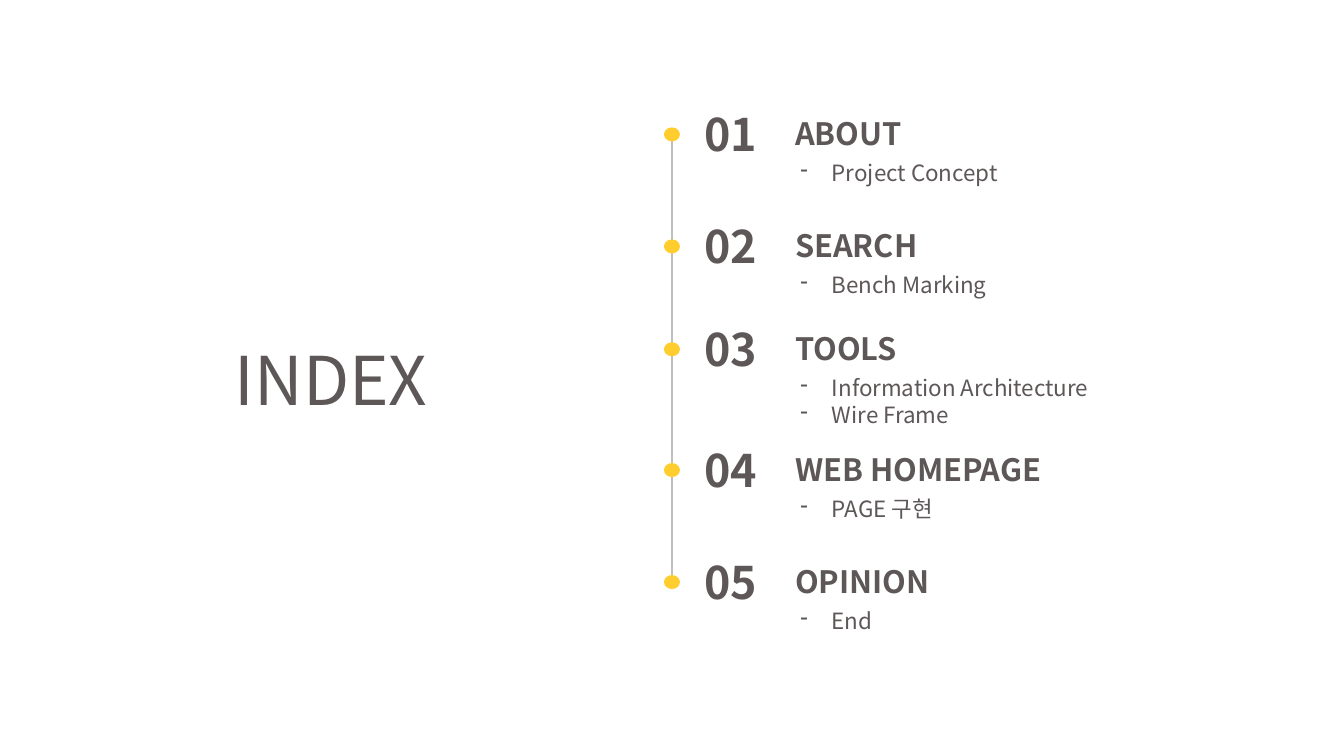
from lxml import etree
from pptx import Presentation
from pptx.dml.color import RGBColor
from pptx.enum.shapes import MSO_CONNECTOR, MSO_SHAPE
from pptx.enum.text import MSO_ANCHOR, MSO_AUTO_SIZE, PP_ALIGN
from pptx.oxml.ns import qn
from pptx.util import Pt

GREY = RGBColor(0x5D, 0x57, 0x57)
LINE_GREY = RGBColor(0xBF, 0xBF, 0xBF)
YELLOW = RGBColor(0xFF, 0xCD, 0x2D)
FONT = "Noto Sans CJK KR"
LEFT, CENTER = PP_ALIGN.LEFT, PP_ALIGN.CENTER
TOP, MIDDLE = MSO_ANCHOR.TOP, MSO_ANCHOR.MIDDLE
NO_FIT = MSO_AUTO_SIZE.NONE
STRAIGHT, OVAL = MSO_CONNECTOR.STRAIGHT, MSO_SHAPE.OVAL

AXIS_X = 480
DOT_WIDTH, DOT_HEIGHT = 11.5, 10
ITEM_LINE = 19.2
ITEM_INDENT = 22.5
LIST_OFFSET = 14.1
SECTIONS = [
    (96, "ABOUT", ["Project Concept"]),
    (176, "SEARCH", ["Bench Marking"]),
    (249.5, "TOOLS", ["Information Architecture", "Wire Frame"]),
    (335.75, "WEB HOMEPAGE", ["PAGE 구현"]),
    (415.75, "OPINION", ["End"]),
]


def write(paragraph, text, size, bold=False, align=LEFT, before=0, line=None, bullet=None):
    """Put formatted text into a paragraph."""
    paragraph.alignment = align
    paragraph.space_before = Pt(before)
    if line:
        paragraph.line_spacing = Pt(line)
    if bullet:
        properties = paragraph._p.get_or_add_pPr()
        properties.set("marL", str(Pt(ITEM_INDENT)))
        properties.set("indent", str(-Pt(ITEM_INDENT)))
        etree.SubElement(properties, qn("a:buFontTx"))
        etree.SubElement(properties, qn("a:buChar")).set("char", bullet)
    run = paragraph.add_run()
    run.text = text
    run.font.size = Pt(size)
    run.font.bold = bold
    run.font.name = FONT
    run.font.color.rgb = GREY
    east_asian = etree.SubElement(run._r.get_or_add_rPr(), qn("a:ea"))
    east_asian.set("typeface", FONT)


class IndexSlide:
    """Draws the parts of the index in one style."""

    def __init__(self, slide):
        self.slide = slide

    def frame(self, shape, x, y, width, height, anchor=TOP):
        """Place a text shape and return its text frame."""
        shape.left, shape.top, shape.width, shape.height = map(Pt, (x, y, width, height))
        frame = shape.text_frame
        frame.word_wrap = True
        frame.auto_size = NO_FIT
        frame.vertical_anchor = anchor
        return frame

    def title(self, text):
        """Fill the title placeholder."""
        frame = self.frame(self.slide.shapes.title, 132.5, 237.6, 208, 65.5, MIDDLE)
        write(frame.paragraphs[0], text, 48, align=CENTER)

    def label(self, text, x, y, width, height, size, align=LEFT):
        """Add a bold one-line text box."""
        box = self.slide.shapes.add_textbox(0, 0, 0, 0)
        frame = self.frame(box, x, y, width, height)
        write(frame.paragraphs[0], text, size, bold=True, align=align)

    def axis(self, top, bottom):
        """Add the vertical line of the timeline."""
        axis = self.slide.shapes.add_connector(
            STRAIGHT, Pt(AXIS_X), Pt(top), Pt(AXIS_X), Pt(bottom))
        axis.line.color.rgb = LINE_GREY
        axis.line.width = Pt(1)
        etree.SubElement(axis._element.spPr, qn("a:effectLst"))

    def dot(self, middle):
        """Add a timeline dot."""
        dot = self.slide.shapes.add_shape(
            OVAL, Pt(AXIS_X - DOT_WIDTH / 2), Pt(middle - DOT_HEIGHT / 2),
            Pt(DOT_WIDTH), Pt(DOT_HEIGHT))
        dot.shadow.inherit = False
        dot.fill.solid()
        dot.fill.fore_color.rgb = YELLOW
        dot.line.fill.background()

    def items(self, sections):
        """Fill the body placeholder, spacing each list to meet its heading."""
        first, last = sections[0][0], sections[-1][0]
        frame = self.frame(self.slide.placeholders[1], 564.5, first + LIST_OFFSET,
                           291.5, last - first + 26.6)
        paragraph = frame.paragraphs[0]
        reached = first
        for middle, _, entries in sections:
            for position, entry in enumerate(entries):
                if reached > first:
                    paragraph = frame.add_paragraph()
                gap = 0 if position else middle - reached
                write(paragraph, entry, 16, before=gap, line=ITEM_LINE, bullet="-")
                reached += gap + ITEM_LINE


def main():
    """Build and save the index slide."""
    deck = Presentation()
    deck.slide_width, deck.slide_height = Pt(960), Pt(540)
    index = IndexSlide(deck.slides.add_slide(deck.slide_layouts[1]))
    index.title("INDEX")
    index.axis(SECTIONS[0][0] + DOT_HEIGHT / 2, SECTIONS[-1][0] - DOT_HEIGHT / 2)
    index.items(SECTIONS)
    for number, (middle, heading, _) in enumerate(SECTIONS, 1):
        index.dot(middle)
        index.label(f"{number:02}", 488.2, middle - 23.2, 67.7, 46, 32, CENTER)
        index.label(heading, 560.9, middle - 17.4, 334.8, 34, 22)
    deck.save("out.pptx")


if __name__ == "__main__":
    main()
